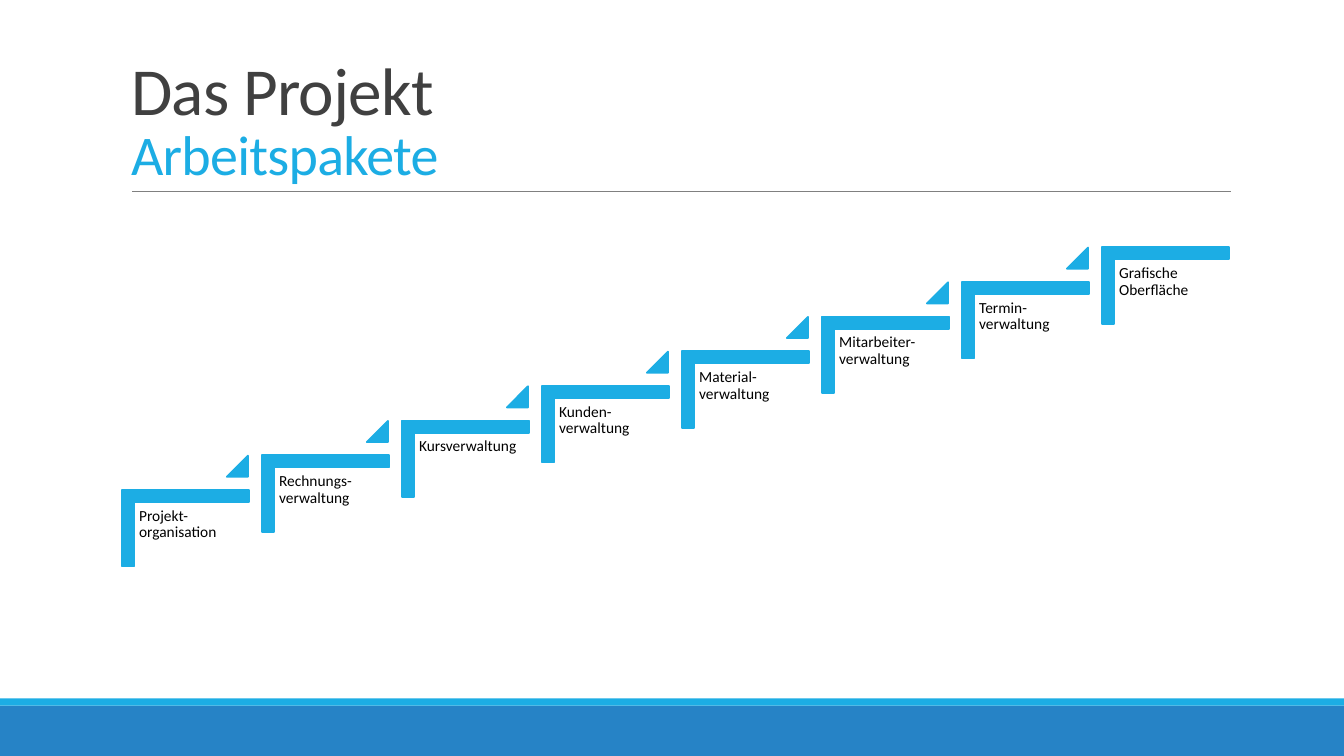
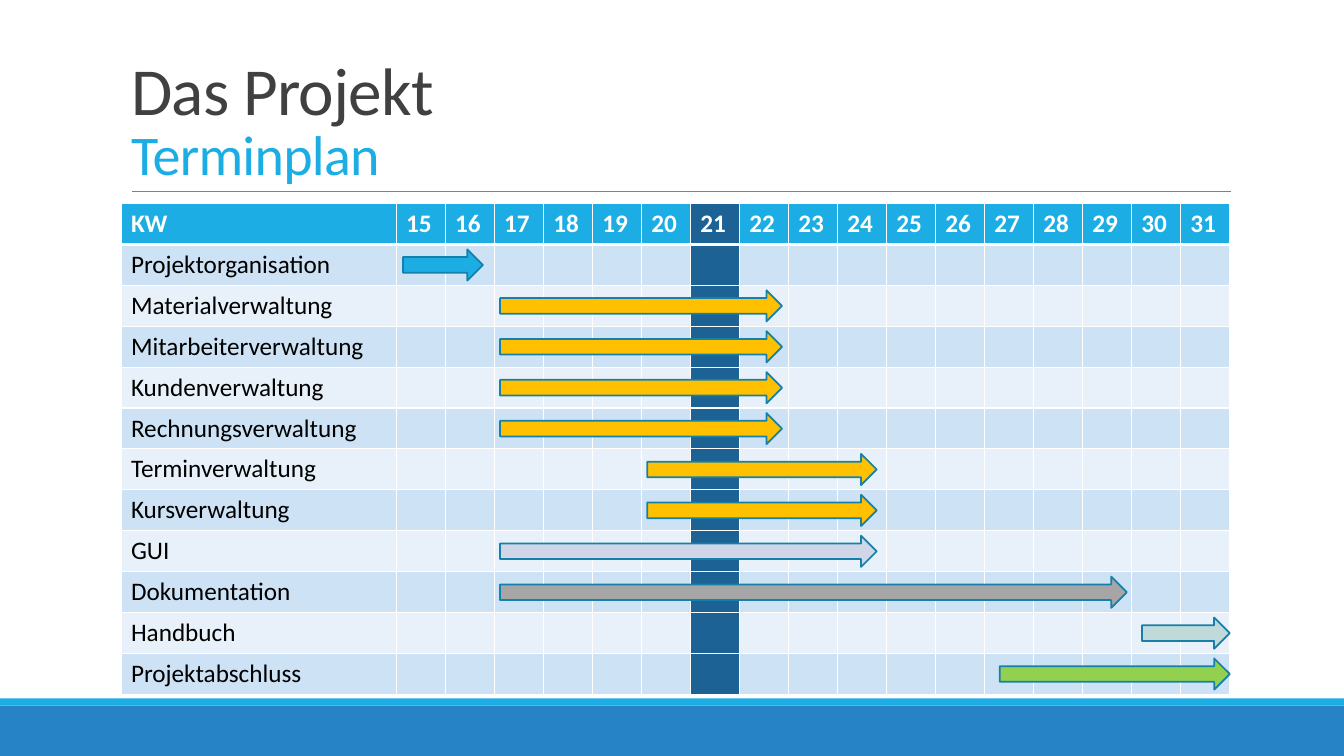
from lxml import etree
from pptx import Presentation
from pptx import util as u
from pptx.dml.color import RGBColor
from pptx.enum import shapes, text
from pptx.oxml.ns import qn

COLOURS = {
    "white": "FFFFFF", "black": "000000", "title": "404040", "rule": "808080",
    "accent": "1CADE4", "footer": "2683C6", "today": "1D6294",
    "odd row": "CDE3F5", "even row": "E8F1FA", "outline": "1580A9",
    "coding": "FFC000", "interface": "D0D5E7", "writing": "A6A6A6",
    "manual": "C0DAD9", "closing": "92D050",
}
FONTS = {
    "title": {"size": u.Pt(48), "name": "Calibri"},
    "subtitle": {"size": u.Pt(40), "name": "Calibri"},
    "step": {"size": u.Pt(11), "name": "Calibri"},
    "header": {"size": u.Pt(18), "name": "Calibri", "bold": True},
    "body": {"size": u.Pt(18), "name": "Calibri", "bold": False},
}
# The grid has square cells of a tenth of an inch
COLUMNS, ROWS = 133.33, 75
CELL = u.Inches(0.1)

# Work packages from the lowest step to the highest
PACKAGES = [
    "Projekt-organisation", "Rechnungs-verwaltung", "Kursverwaltung",
    "Kunden-verwaltung", "Material-verwaltung", "Mitarbeiter-verwaltung",
    "Termin-verwaltung", "Grafische Oberfläche",
]
# Task, start and end in calendar weeks, colour of the arrow
TASKS = [
    ("Projektorganisation", 15.14, 16.77, "accent"),
    ("Materialverwaltung", 17.12, 22.87, "coding"),
    ("Mitarbeiterverwaltung", 17.12, 22.87, "coding"),
    ("Kundenverwaltung", 17.12, 22.87, "coding"),
    ("Rechnungsverwaltung", 17.12, 22.87, "coding"),
    ("Terminverwaltung", 20.12, 24.8, "coding"),
    ("Kursverwaltung", 20.12, 24.8, "coding"),
    ("GUI", 17.12, 24.8, "interface"),
    ("Dokumentation", 17.12, 29.9, "writing"),
    ("Handbuch", 30.21, 32, "manual"),
    ("Projektabschluss", 27.31, 32, "closing"),
]
WEEKS = range(15, 32)
CURRENT_WEEK = 21


def colour(name):
    return RGBColor.from_string(COLOURS[name])


def grid(*lengths):
    return [round(length * CELL) for length in lengths]


class Deck:
    """Holds the style and the slide being drawn."""

    def __init__(self):
        self.presentation = Presentation()
        self.presentation.slide_width, self.presentation.slide_height = grid(COLUMNS, ROWS)
        self.slide = None

    def new_slide(self, title, subtitle):
        self.slide = self.presentation.slides.add_slide(self.presentation.slide_layouts[5])
        # Footer bands and rule below the title
        self.shape("RECTANGLE", (0, 70, COLUMNS, 5), "footer")
        self.shape("RECTANGLE", (0, 69.3, COLUMNS, 0.7), "accent")
        self.line((13.1, 19), (122.1, 19), "rule", 0.5)
        self.title(title, subtitle)

    def title(self, title, subtitle):
        placeholder = self.slide.shapes.title
        self.place(placeholder, (12, 3.1, 110, 15.9))
        frame = placeholder.text_frame
        self.apply(frame, {"auto_size": text.MSO_AUTO_SIZE.NONE, "word_wrap": True,
                           "vertical_anchor": text.MSO_ANCHOR.BOTTOM})
        paragraph = frame.paragraphs[0]
        self.apply(paragraph, {"alignment": text.PP_ALIGN.LEFT, "line_spacing": 0.85})
        runs = [self.run(paragraph, title, "title", "title")]
        paragraph.add_line_break()
        runs.append(self.run(paragraph, subtitle, "subtitle", "accent"))
        for run in runs:
            run.font._element.set("spc", "-50")

    def apply(self, target, values):
        for name, value in values.items():
            setattr(target, name, value)

    def place(self, shape, box):
        self.apply(shape, dict(zip(("left", "top", "width", "height"), grid(*box))))

    def run(self, paragraph, words, font, ink):
        run = paragraph.add_run()
        run.text = words
        self.apply(run.font, FONTS[font])
        run.font.color.rgb = colour(ink)
        return run

    def shape(self, kind, box, fill, line=None, adjustments=(), rotation=0):
        preset = getattr(shapes.MSO_SHAPE, kind)
        shape = self.slide.shapes.add_shape(preset, *grid(*box))
        shape.shadow.inherit = False
        shape.rotation = rotation
        shape.fill.solid()
        shape.fill.fore_color.rgb = colour(fill)
        if line:
            shape.line.color.rgb = colour(line)
            shape.line.width = u.Pt(1.25)
        else:
            shape.line.fill.background()
        for index, value in enumerate(adjustments):
            shape.adjustments[index] = value

    def line(self, start, end, ink, width):
        line = self.slide.shapes.add_connector(
            shapes.MSO_CONNECTOR.STRAIGHT, *grid(*start, *end))
        line.line.color.rgb = colour(ink)
        line.line.width = u.Pt(width)
        etree.SubElement(line.element.spPr, qn("a:effectLst"))

    def label(self, words, box):
        frame = self.slide.shapes.add_textbox(*grid(*box)).text_frame
        margins = ("margin_left", "margin_top", "margin_right", "margin_bottom")
        self.apply(frame, dict.fromkeys(margins, u.Inches(0.05)))
        frame.word_wrap = True
        frame.paragraphs[0].line_spacing = 0.9
        self.run(frame.paragraphs[0], words, "step", "black")

    def table(self, box, first_width, rows, fill_of):
        count = len(rows[0])
        table = self.slide.shapes.add_table(len(rows), count, *grid(*box)).table
        self.apply(table, {"first_row": False, "horz_banding": False})
        widths = [first_width] + [(box[2] - first_width) / (count - 1)] * (count - 1)
        for column, width in zip(table.columns, grid(*widths)):
            column.width = width
        for row_index, row in enumerate(rows):
            table.rows[row_index].height = grid(box[3] / len(rows))[0]
            for column_index, words in enumerate(row):
                cell = table.cell(row_index, column_index)
                cell.fill.solid()
                cell.fill.fore_color.rgb = colour(fill_of(row_index, column_index))
                self.borders(cell, row_index)
                if words:
                    font, ink = ("body", "black") if row_index else ("header", "white")
                    self.run(cell.text_frame.paragraphs[0], words, font, ink)

    def borders(self, cell, row_index):
        # White borders, thicker between the header and the body
        widths = {"L": 1, "R": 1, "T": 3 if row_index == 1 else 1,
                  "B": 1 if row_index else 3}
        properties = cell._tc.get_or_add_tcPr()
        for index, (side, width) in enumerate(widths.items()):
            border = etree.Element(qn("a:ln" + side), w=str(u.Pt(width)))
            fill = etree.SubElement(border, qn("a:solidFill"))
            etree.SubElement(fill, qn("a:srgbClr"), val=COLOURS["white"])
            properties.insert(index, border)


def draw_packages(deck):
    deck.new_slide("Das Projekt", "Arbeitspakete")
    step_width, step_height = 13.89, 3.44
    for index, package in enumerate(PACKAGES):
        left, top = 12.1 + index * step_width, 48.6 - index * step_height
        # The corner is drawn upright and turned, so its box is centred on the step
        deck.shape("CORNER", (left + 2.5, top - 2.5, 7.6, 12.6), "accent", "accent",
                   (0.16, 0.16), rotation=90)
        deck.label(package, (left + 1.2, top + 1.3, 11.3, 9.9))
        if index < len(PACKAGES) - 1:
            deck.shape("ISOSCELES_TRIANGLE", (left + 10.4, top - 3.4, 2.1, 2.1),
                       "accent", "accent", (1,))


def draw_schedule(deck):
    deck.new_slide("Das Projekt", "Terminplan")
    left, top, width, height = box = (12, 20.2, 110, 48.7)
    task_width, arrow_height = 27.3, 3.1
    week_width = (width - task_width) / len(WEEKS)
    row_height = height / (len(TASKS) + 1)
    current_column = WEEKS.index(CURRENT_WEEK) + 1

    def fill_of(row, column):
        if column == current_column:
            return "today"
        if row == 0:
            return "accent"
        return "odd row" if row % 2 else "even row"

    rows = [["KW"] + [str(week) for week in WEEKS]]
    rows += [[task[0]] + [""] * len(WEEKS) for task in TASKS]
    deck.table(box, task_width, rows, fill_of)

    # One arrow in the middle of each row
    for row, (_, start, end, fill) in enumerate(TASKS, 1):
        arrow_left = left + task_width + (start - WEEKS[0]) * week_width
        arrow_top = top + (row + 0.5) * row_height - arrow_height / 2
        deck.shape("RIGHT_ARROW", (arrow_left, arrow_top, (end - start) * week_width,
                                   arrow_height), fill, "outline")


def main():
    deck = Deck()
    draw_packages(deck)
    draw_schedule(deck)
    deck.presentation.save("out.pptx")


if __name__ == "__main__":
    main()
